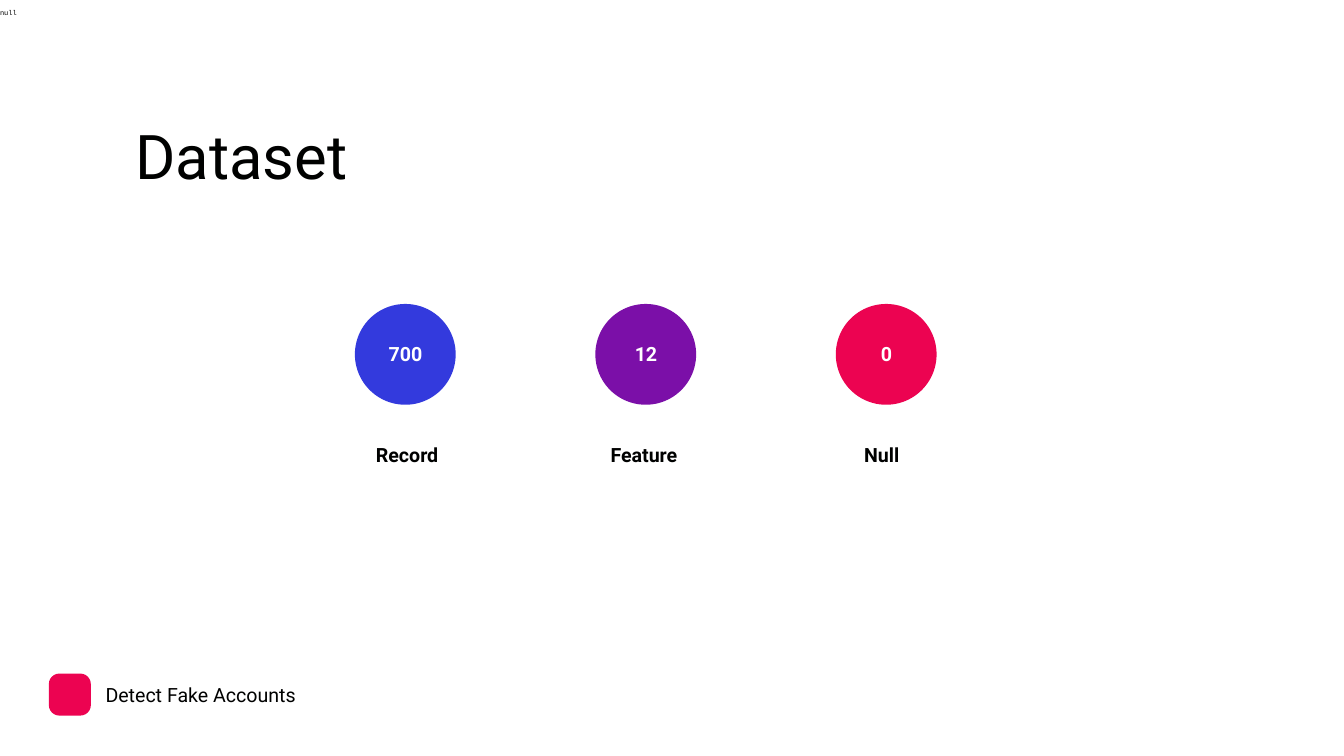
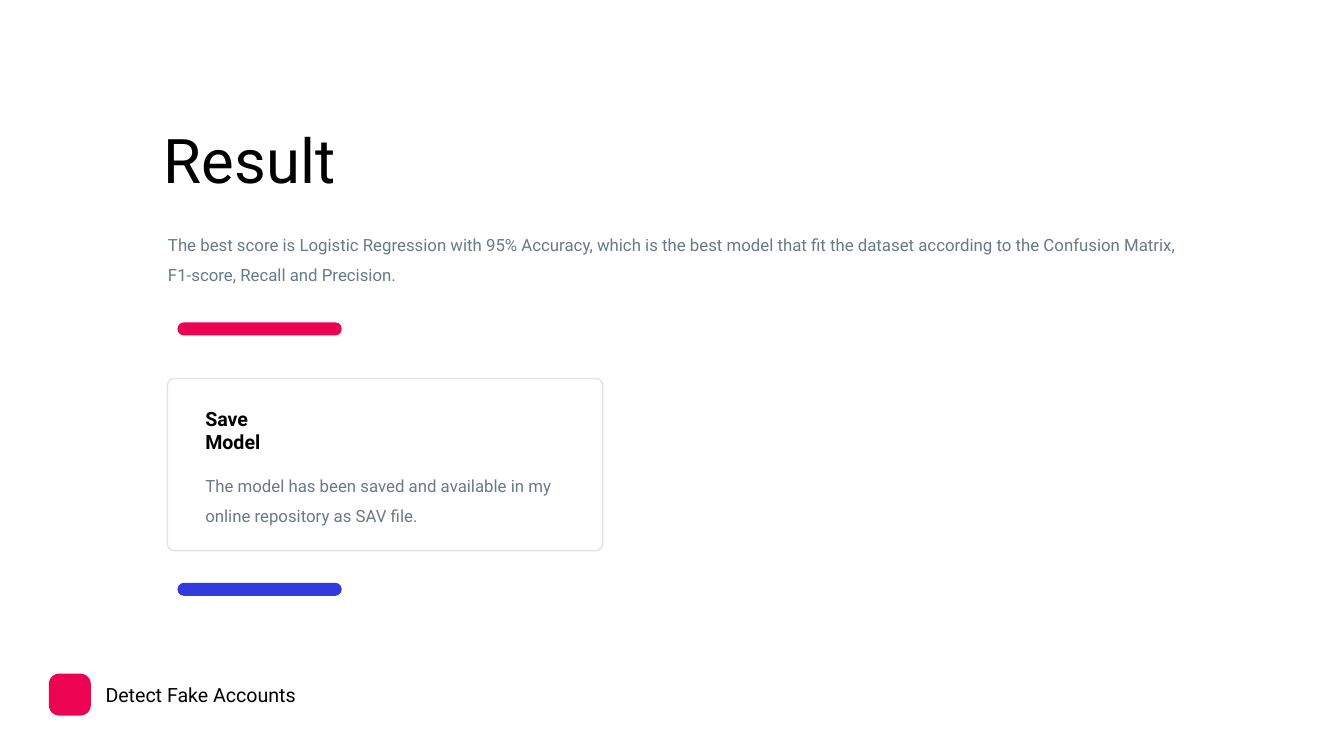
from dataclasses import dataclass

from pptx import Presentation
from pptx.dml.color import RGBColor
from pptx.enum.shapes import MSO_SHAPE
from pptx.enum.text import MSO_ANCHOR, MSO_AUTO_SIZE, PP_ALIGN
from pptx.slide import Slide
from pptx.util import Emu, Pt

INK = RGBColor(0x00, 0x01, 0x00)
GREY = RGBColor(0x69, 0x79, 0x87)
EDGE = RGBColor(0xE0, 0xE4, 0xE9)
WHITE = RGBColor(0xFF, 0xFF, 0xFF)
BLUE = RGBColor(0x33, 0x3A, 0xDD)
PURPLE = RGBColor(0x7B, 0x0F, 0xA8)
RED = RGBColor(0xEC, 0x03, 0x51)

WIDTH, HEIGHT = 2560, 1440
FONT = "Roboto"
CODE = "Courier New"


@dataclass(frozen=True)
class Box:
    left: int
    top: int
    width: int
    height: int


@dataclass(frozen=True)
class Style:
    size: int
    color: RGBColor = INK
    bold: bool = False
    inset: int = 4
    align: PP_ALIGN = PP_ALIGN.LEFT
    space: float = 1.0
    font: str = FONT
    anchor: MSO_ANCHOR = MSO_ANCHOR.TOP


@dataclass(frozen=True)
class Stat:
    value: str
    label: str
    color: RGBColor
    left: int
    width: int


TITLE = Style(88)
FOOTER = Style(28)
LABEL = Style(28, bold=True, inset=6)
VALUE = Style(28, WHITE, bold=True, inset=6, align=PP_ALIGN.CENTER)
BODY = Style(24, GREY, inset=5, space=1.5)
NOTE = Style(10, inset=0, font=CODE, anchor=MSO_ANCHOR.MIDDLE)

STATS = [
    Stat("700", "Record", BLUE, 710, 150),
    Stat("12", "Feature", PURPLE, 1157, 149),
    Stat("0", "Null", RED, 1640, 93),
]


def px(count: int) -> Emu:
    return Emu(count * 9525)


def place(box: Box) -> tuple[Emu, Emu, Emu, Emu]:
    return px(box.left), px(box.top), px(box.width), px(box.height)


def write(slide: Slide, box: Box, text: str, style: Style) -> None:
    frame = slide.shapes.add_textbox(*place(box)).text_frame
    frame.word_wrap = True
    frame.auto_size = MSO_AUTO_SIZE.SHAPE_TO_FIT_TEXT
    frame.vertical_anchor = style.anchor
    frame.margin_left = frame.margin_right = px(style.inset)
    frame.margin_top = frame.margin_bottom = px(style.inset)
    frame.text = text
    para = frame.paragraphs[0]
    para.alignment = style.align
    para.line_spacing = style.space
    for run in para.runs:
        run.font.name = style.font
        run.font.size = Pt(style.size)
        run.font.bold = style.bold
        run.font.color.rgb = style.color


def draw(slide: Slide, kind: MSO_SHAPE, box: Box, fill: RGBColor | None = None,
         line: RGBColor | None = None, round: float | None = None) -> None:
    shape = slide.shapes.add_shape(kind, *place(box))
    shape.shadow.inherit = False
    if round is not None:
        shape.adjustments[0] = round
    if fill is None:
        shape.fill.background()
    else:
        shape.fill.solid()
        shape.fill.fore_color.rgb = fill
    if line is None:
        shape.line.fill.background()
    else:
        shape.line.color.rgb = line
        shape.line.width = Pt(2)


def footer(slide: Slide) -> None:
    draw(slide, MSO_SHAPE.ROUNDED_RECTANGLE, Box(93, 1283, 80, 80), RED, round=0.25)
    write(slide, Box(197, 1296, 408, 54), "Detect Fake Accounts", FOOTER)


def dataset(slide: Slide) -> None:
    write(slide, Box(254, 220, 1489, 151), "Dataset", TITLE)
    for index, stat in enumerate(STATS):
        left = 676 + 458 * index
        draw(slide, MSO_SHAPE.OVAL, Box(left, 579, 192, 192), stat.color)
        write(slide, Box(left + 24, 646, 145, 56), stat.value, VALUE)
        write(slide, Box(stat.left, 838, stat.width, 56), stat.label, LABEL)
    footer(slide)
    write(slide, Box(0, 0, WIDTH, 48), "null", NOTE)


def result(slide: Slide) -> None:
    write(slide, Box(308, 228, 1350, 151), "Result", TITLE)
    write(slide, Box(315, 422, 1970, 120),
          "The best score is Logistic Regression with 95% Accuracy, which is the "
          "best model that fit the dataset according to the Confusion Matrix, "
          "F1-score, Recall and Precision.", BODY)
    draw(slide, MSO_SHAPE.ROUNDED_RECTANGLE, Box(319, 721, 829, 328),
         line=EDGE, round=0.04)
    write(slide, Box(385, 769, 174, 101), "Save Model", LABEL)
    write(slide, Box(386, 882, 707, 120),
          "The model has been saved and available in my online repository "
          "as SAV file.", BODY)
    for top, color in ((614, RED), (1110, BLUE)):
        draw(slide, MSO_SHAPE.ROUNDED_RECTANGLE, Box(338, top, 313, 25),
             color, round=0.5)
    footer(slide)


def main() -> None:
    deck = Presentation()
    deck.slide_width, deck.slide_height = px(WIDTH), px(HEIGHT)
    blank = deck.slide_layouts[6]
    for build in (dataset, result):
        build(deck.slides.add_slide(blank))
    deck.save("out.pptx")


if __name__ == "__main__":
    main()
